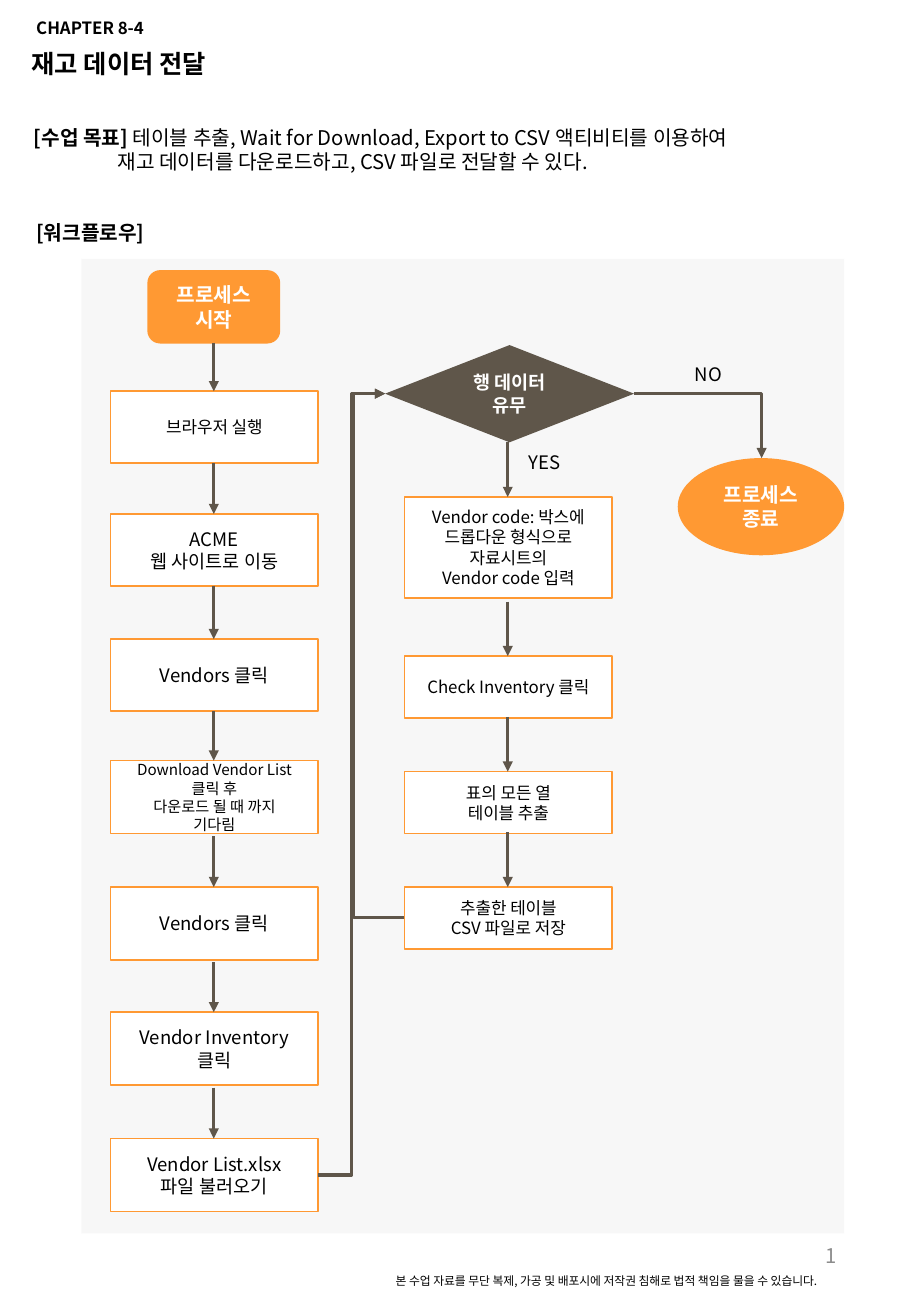
"""Build the one-page handout with the stock data workflow."""
from lxml.etree import SubElement as Sub
from pptx import Presentation
from pptx.dml.color import RGBColor as RGB
from pptx.enum.shapes import MSO_CONNECTOR as Link, MSO_SHAPE as Shape
from pptx.enum.text import MSO_ANCHOR as Anchor, MSO_AUTO_SIZE as Auto, PP_ALIGN as Align
from pptx.oxml.ns import qn
from pptx.util import Pt

PX = 9144
FONT = "Noto Sans CJK KR"
BLACK, WHITE, GREY, PALE = "000000", "FFFFFF", "8C8C8C", "F2F2F2"
ORANGE, BROWN = "FF9933", "5F564A"
WIDE = 171
LEFT, RIGHT = 91, 333
LEFT_STEPS = [
    (322, 59, 40, 10, "브라우저 실행"),
    (423, 59, 42, 11, "ACME\n웹 사이트로 이동"),
    (526, 59, 44, 11, "Vendors 클릭"),
    (626, 60, 41, 9, "Download Vendor List\n클릭 후\n다운로드 될 때 까지\n기다림"),
    (730, 60, 42, 11, "Vendors 클릭"),
    (833, 60, 41, 11, "Vendor Inventory\n클릭"),
    (937, 60, 42, 11, "Vendor List.xlsx\n파일 불러오기"),
]
RIGHT_STEPS = [
    (409, 83, 45, 10, "Vendor code: 박스에\n드롭다운 형식으로\n자료시트의\nVendor code 입력"),
    (540, 51, 45, 10, "Check Inventory 클릭"),
    (635, 51, 45, 10, "표의 모든 열\n테이블 추출"),
    (730, 51, 45, 10, "추출한 테이블\nCSV 파일로 저장"),
]


def scale(*sizes):
    """Turn px lengths into EMU."""
    return [size * PX for size in sizes]


def paint(fill, tint):
    """Give a fill or font colour a solid hex tint."""
    fill.solid()
    fill.fore_color.rgb = RGB.from_string(tint)


def style(run, size, tint, bold):
    """Format one run for Latin and Korean text."""
    font = run.font
    font.size, font.bold, font.name = Pt(size), bold, FONT
    paint(font.fill, tint)
    Sub(font._element, qn("a:ea"), typeface=FONT)


def write(frame, text, size, tint=BLACK, bold=False, align=Align.LEFT, anchor=Anchor.TOP):
    """Fill a text frame and format its runs."""
    frame.text = text
    frame.word_wrap = True
    frame.auto_size = Auto.NONE
    frame.vertical_anchor = anchor
    for para in frame.paragraphs:
        para.alignment = align
        for run in para.runs:
            style(run, size, tint, bold)


def label(slide, box, text, size, **look):
    """Add a plain text box."""
    frame = slide.shapes.add_textbox(*scale(*box)).text_frame
    write(frame, text, size, **look)
    return frame


def node(slide, kind, box, fill, edge=None, text="", size=10, tint=WHITE, bold=True):
    """Add a flowchart shape with centred text."""
    shape = slide.shapes.add_shape(kind, *scale(*box))
    shape.shadow.inherit = False
    paint(shape.fill, fill)
    if edge:
        paint(shape.line.fill, edge)
        shape.line.width = Pt(1)
    else:
        shape.line.fill.background()
    if text:
        write(shape.text_frame, text, size, tint, bold, Align.CENTER, Anchor.MIDDLE)
    return shape


def arrow(slide, ends, kind=Link.STRAIGHT, bend=None, shift=None):
    """Add an arrow, with a bend preset or shift when given."""
    line = slide.shapes.add_connector(kind, *scale(*ends))
    paint(line.line.fill, BROWN)
    line.line.width = Pt(2)
    props = line._element.spPr
    Sub(props.find(qn("a:ln")), qn("a:tailEnd"), type="triangle")
    Sub(props, qn("a:effectLst"))
    geom = props.find(qn("a:prstGeom"))
    if bend:
        geom.set("prst", bend)
    if shift:
        Sub(geom.find(qn("a:avLst")), qn("a:gd"), name="adj1", fmla=f"val {shift}")


def column(slide, left, steps):
    """Add a column of steps, each with the arrow that leads in."""
    mid = left + WIDE // 2
    for top, high, reach, size, text in steps:
        node(slide, Shape.FLOWCHART_PROCESS, (left, top, WIDE, high), WHITE, ORANGE,
             text, size, BLACK, False)
        arrow(slide, (mid, top - reach, mid, top))


def heading(slide):
    """Add the title, the goal and the small print."""
    title = slide.shapes.title
    title.left, title.top, title.width, title.height = scale(16, 35, 359, 35)
    write(title.text_frame, "재고 데이터 전달", 15, bold=True)
    label(slide, (20, 10, 129, 27), "CHAPTER 8-4", 10, bold=True)
    goal = label(slide, (18, 98, 680, 50), "[수업 목표] ", 12, bold=True)
    run = goal.paragraphs[0].add_run()
    run.text = "테이블 추출, Wait for Download, Export to CSV 액티비티를 이용하여"
    style(run, 12, BLACK, False)
    para = goal.add_paragraph()
    para.text = "재고 데이터를 다운로드하고, CSV 파일로 전달할 수 있다."
    para._p.get_or_add_pPr().set("marL", str(69 * PX))
    style(para.runs[0], 12, BLACK, False)
    label(slide, (20, 176, 680, 30), "[워크플로우]", 12, bold=True)
    label(slide, (530, 1004, 169, 58), "1", 12, tint=GREY, align=Align.RIGHT,
          anchor=Anchor.MIDDLE)
    label(slide, (316, 1043, 413, 21),
          "본 수업 자료를 무단 복제, 가공 및 배포시에 저작권 침해로 법적 책임을 물을 수 있습니다.", 7)


def chart(slide):
    """Add the workflow on its pale panel."""
    panel = node(slide, Shape.FLOWCHART_PROCESS, (67, 213, 628, 802), PALE)
    tone = panel._element.spPr.find(qn("a:solidFill"))[0]
    Sub(tone, qn("a:alpha"), val="54000")
    node(slide, Shape.FLOWCHART_ALTERNATE_PROCESS, (122, 223, 108, 59), ORANGE, ORANGE,
         "프로세스\n시작", 12)
    column(slide, LEFT, LEFT_STEPS)
    node(slide, Shape.FLOWCHART_DECISION, (317, 284, 205, 80), BROWN,
         text="행 데이터\n유무", size=11)
    column(slide, RIGHT, RIGHT_STEPS)
    node(slide, Shape.OVAL, (558, 377, 137, 80), ORANGE, text="프로세스 종료", size=12)
    arrow(slide, (262, 967, 317, 324), Link.ELBOW)
    arrow(slide, (522, 324, 627, 377), Link.ELBOW, bend="bentConnector2")
    arrow(slide, (333, 755, 317, 324), Link.ELBOW, shift=261100)
    label(slide, (562, 294, 49, 29), "NO", 11)
    label(slide, (425, 366, 49, 29), "YES", 11)


def main():
    """Make the slide and save it."""
    deck = Presentation()
    deck.slide_width, deck.slide_height = scale(750, 1083)
    slide = deck.slides.add_slide(deck.slide_layouts[5])
    heading(slide)
    chart(slide)
    deck.save("out.pptx")


if __name__ == "__main__":
    main()
